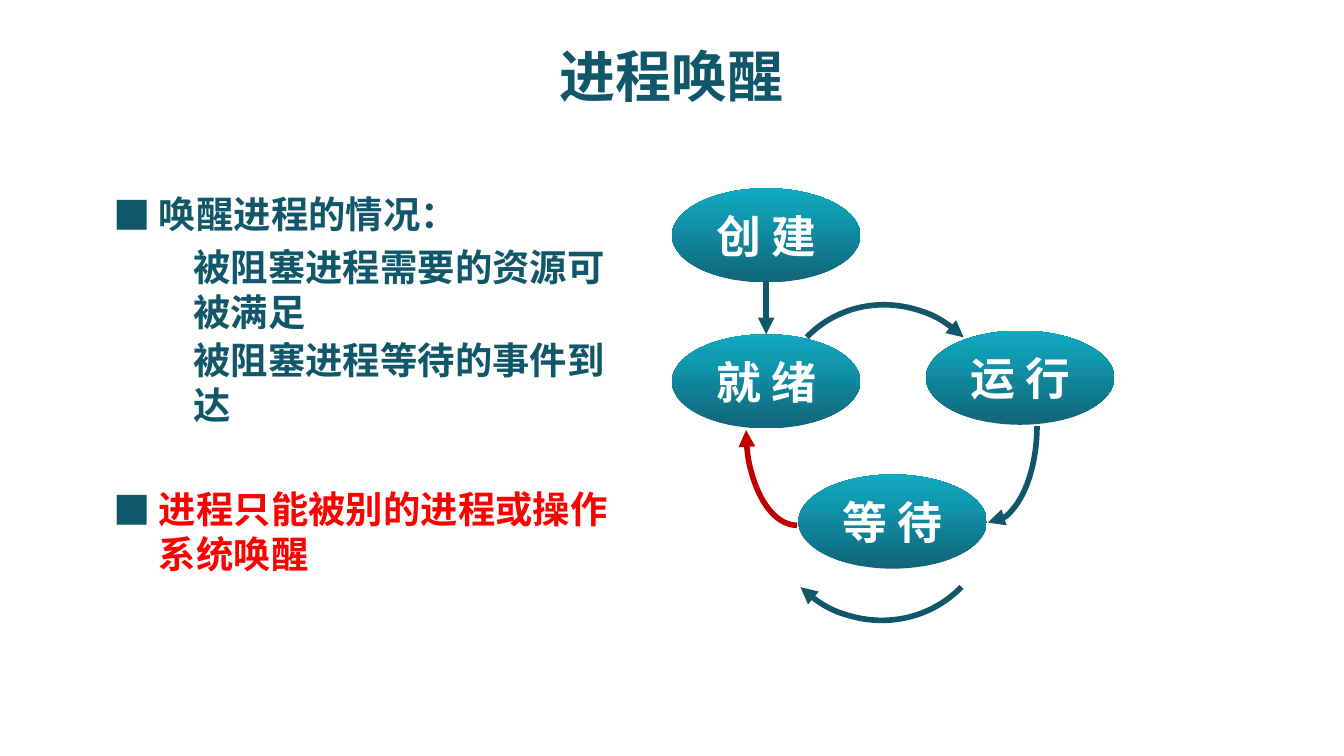
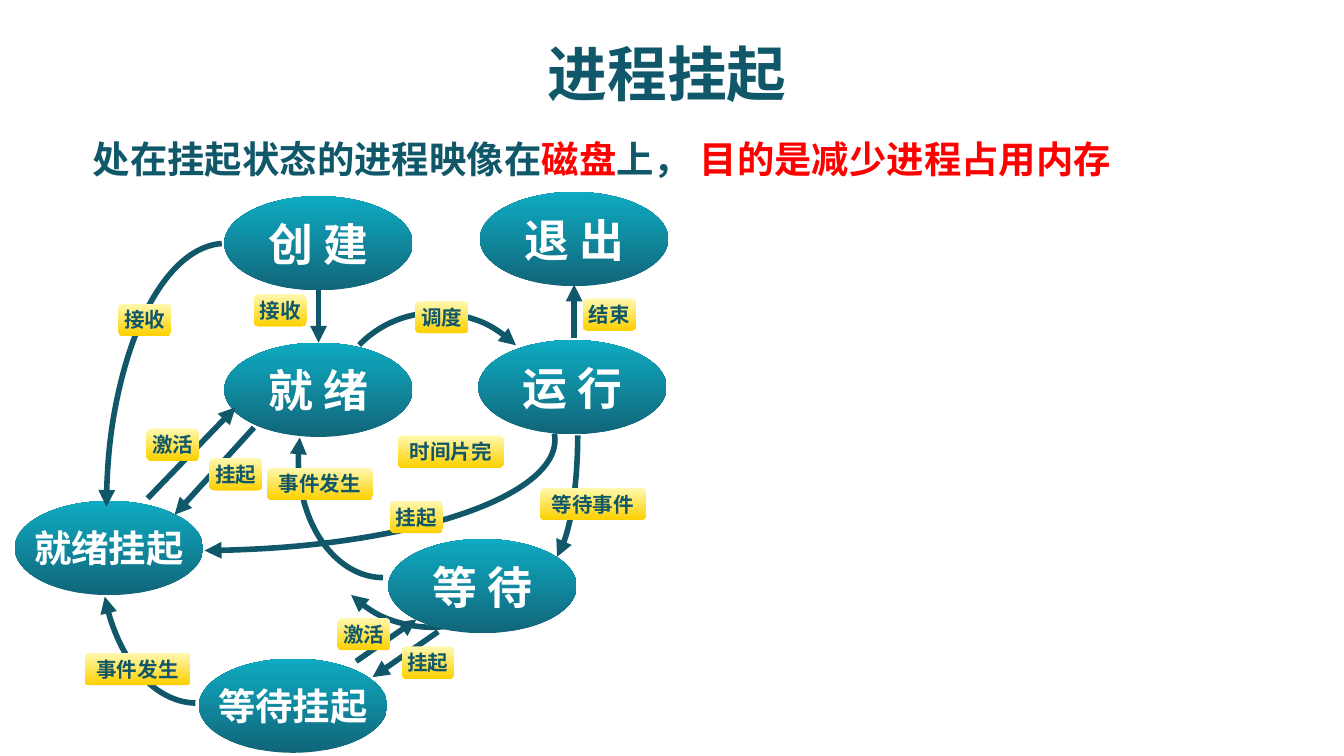
from lxml.etree import SubElement
from pptx import Presentation
from pptx.dml.color import RGBColor
from pptx.enum.shapes import MSO_CONNECTOR, MSO_SHAPE
from pptx.enum.text import MSO_ANCHOR, MSO_AUTO_SIZE, PP_ALIGN
from pptx.oxml.ns import qn
from pptx.util import Cm, Pt

FONT = "Noto Sans CJK SC"
HUES = {"ink": "11576A", "red": "FF0000", "dark": "C00000", "white": "FFFFFF"}
TEAL = [(0, "116579"), (77, "0F9BB1"), (100, "0EABC2")]
GOLD = [(0, "FFF9B1"), (100, "FDD000")]
OVAL = (3.56, 1.78)
TAG = 0.61
UP, DOWN = 90, 270

SLIDES = [
    {
        "title": ("进程唤醒", 30, (1.9, 0.25, 21.59, 2.34)),
        "box": (1.9, 3.48, 10.42, 7.6),
        "body": [
            ([("唤醒进程的情况：", "ink")], {"left": 0.85, "mark": "■"}),
            ([("被阻塞进程需要的资源可被满足", "ink")], {"left": 1.5, "gap": 4.7}),
            ([("被阻塞进程等待的事件到达", "ink")], {"left": 1.5, "gap": 1.5}),
            ([("进程只能被别的进程或操作系统唤醒", "red")],
             {"left": 0.85, "gap": 32, "mark": "■"}),
        ],
        "under": [],
        "ovals": [
            ("创 建", 12.7, 3.56),
            ("就 绪", 12.7, 6.32),
            ("运 行", 17.5, 6.25),
            ("等 待", 15.09, 8.97),
        ],
        "over": [
            ((14.73, 5.72, 4.11, 4.27), {"turn": 314}),
            ((17.75, 6.2, 1.85, 3.68), {"span": (0.9, 90)}),
            ((14.1, 6.3, 1.93, 3.63),
             {"span": (0.9, 90), "flip": True, "end": "headEnd", "hue": "dark"}),
            ((14.48, 7.39, 4.24, 4.37), {"turn": 134}),
        ],
        "lines": [(14.48, 5.31, 14.48, 6.32)],
        "tags": [],
    },
    {
        "title": ("进程挂起", 32, (9.75, 0.2, 5.72, 2.34)),
        "box": (1.5, 2.44, 20.27, 1.12),
        "body": [
            ([("处在挂起状态的进程映像在", "ink"), ("磁盘", "red"),
              ("上， ", "ink"), ("目的是减少进程占用内存", "red")], {}),
        ],
        "under": [
            ((9.65, 5.74, 1.27, 4.98), {"span": (0.13, 83.9)}),
            ((5.97, 7.52, 4.24, 4.37), {"turn": 134, "span": (267.6, 359.3)}),
        ],
        "ovals": [
            ("创 建", 4.24, 3.71),
            ("就 绪", 4.24, 6.48),
            ("运 行", 9.04, 6.43),
            ("等 待", 7.34, 10.19),
            ("退 出", 9.07, 3.63),
            ("就绪挂起", 0.28, 9.47),
            ("等待挂起", 3.76, 12.45),
        ],
        "over": [
            ((6.27, 5.87, 4.11, 4.27), {"turn": 314}),
            ((-3.2, 6.22, 13.69, 4.19), {"span": (359, 83.9)}),
            ((5.64, 6.45, 3.2, 4.47),
             {"span": (345.2, 90), "flip": True, "end": "headEnd"}),
            ((1.9, 7.57, 3.63, 5.72),
             {"span": (26.1, 89.6), "flip": True, "end": "headEnd"}),
            ((2.01, 4.6, 4.5, 10.03),
             {"span": (0.9, 89.2), "turn": 180, "end": "headEnd"}),
        ],
        "lines": [
            (6.02, 5.49, 6.02, 6.48),
            (10.85, 6.38, 10.85, 5.38),
            (8.28, 11.94, 7.04, 12.8),
            (6.73, 12.5, 7.87, 11.71),
            (2.79, 9.42, 4.45, 7.7),
            (4.8, 8.08, 3.3, 9.73),
        ],
        "tags": [
            ("挂起", 7.37, 9.47),
            ("接收", 2.24, 5.74),
            ("事件发生", 1.6, 12.34),
            ("接收", 4.8, 5.56),
            ("激活", 2.77, 8.1),
            ("挂起", 3.96, 8.66),
            ("事件发生", 5.05, 8.84),
            ("激活", 6.38, 11.68),
            ("挂起", 7.59, 12.22),
            ("等待事件", 10.21, 9.22),
            ("时间片完", 7.52, 8.23),
            ("调度", 7.85, 5.69),
            ("结束", 11.02, 5.64),
        ],
    },
]


def color(name):
    return RGBColor.from_string(HUES[name])


def write(para, text, size=20, hue="ink", align=PP_ALIGN.CENTER):
    para.alignment = align
    run = para.add_run()
    run.text = text
    font = run.font
    font.size, font.bold, font.name = Pt(size), True, FONT
    font.color.rgb = color(hue)
    SubElement(font._element, qn("a:ea"), typeface=FONT)


def place(shape, box):
    shape.left, shape.top, shape.width, shape.height = map(Cm, box)


def indent(para, left=0, gap=0, mark=None):
    para.space_before, para.space_after = Pt(gap), Pt(0)
    para.line_spacing = Pt(24)
    props = para._p.get_or_add_pPr()
    props.set("marL", str(Cm(left)))
    props.set("indent", str(-Cm(left) if mark else 0))
    if mark:
        tint = SubElement(props, qn("a:buClr"))
        SubElement(tint, qn("a:srgbClr"), val=HUES["ink"])
        SubElement(props, qn("a:buFont"), typeface="Noto Sans CJK JP")
        SubElement(props, qn("a:buChar"), char=mark)
    else:
        SubElement(props, qn("a:buNone"))


def fade(shape, stops, angle):
    shape.fill.gradient()
    shape.fill.gradient_angle = angle
    items = shape._element.spPr.find(qn("a:gradFill")).find(qn("a:gsLst"))
    items.clear()
    for at, tint in stops:
        stop = SubElement(items, qn("a:gs"), pos=str(at * 1000))
        SubElement(stop, qn("a:srgbClr"), val=tint)


def stroke(shape, hue="ink", end="tailEnd"):
    shape.line.color.rgb = color(hue)
    shape.line.width = Pt(3)
    SubElement(shape.line._get_or_add_ln(), qn(f"a:{end}"), type="triangle")


def node(slide, kind, text, box, stops, angle, **style):
    shape = slide.shapes.add_shape(kind, *map(Cm, box))
    shape.shadow.inherit = False
    shape.line.fill.background()
    fade(shape, stops, angle)
    frame = shape.text_frame
    frame.word_wrap = False
    frame.vertical_anchor = MSO_ANCHOR.MIDDLE
    frame.margin_left = frame.margin_right = 0
    frame.margin_top = frame.margin_bottom = 0
    write(frame.paragraphs[0], text, **style)


def arc(slide, box, span=(270, 0), turn=0, flip=False, hue="ink", end="tailEnd"):
    shape = slide.shapes.add_shape(MSO_SHAPE.ARC, *map(Cm, box))
    shape.shadow.inherit = False
    shape.fill.background()
    shape.rotation = turn
    for i, angle in enumerate(span):
        shape.adjustments[i] = angle * 0.6
    if flip:
        shape._element.spPr.xfrm.set("flipH", "1")
    stroke(shape, hue, end)


def arrow(slide, ends):
    line = slide.shapes.add_connector(MSO_CONNECTOR.STRAIGHT, *map(Cm, ends))
    stroke(line)
    SubElement(line._element.spPr, qn("a:effectLst"))


def build(deck, data):
    slide = deck.slides.add_slide(deck.slide_layouts[1])
    title, body = slide.placeholders
    text, size, box = data["title"]
    place(title, box)
    write(title.text_frame.paragraphs[0], text, size=size)

    place(body, data["box"])
    frame = body.text_frame
    frame.auto_size = MSO_AUTO_SIZE.NONE
    for i, (runs, form) in enumerate(data["body"]):
        para = frame.add_paragraph() if i else frame.paragraphs[0]
        indent(para, **form)
        for text, hue in runs:
            write(para, text, hue=hue, align=PP_ALIGN.LEFT)

    for box, form in data["under"]:
        arc(slide, box, **form)
    for text, x, y in data["ovals"]:
        size = 24 if " " in text else 20
        node(slide, MSO_SHAPE.OVAL, text, (x, y, *OVAL), TEAL, UP,
             size=size, hue="white")
    for box, form in data["over"]:
        arc(slide, box, **form)
    for ends in data["lines"]:
        arrow(slide, ends)
    for text, x, y in data["tags"]:
        node(slide, MSO_SHAPE.ROUNDED_RECTANGLE, text,
             (x, y, len(text) / 2, TAG), GOLD, DOWN, size=11)


def main():
    deck = Presentation()
    deck.slide_width, deck.slide_height = Cm(25.4), Cm(14.29)
    for data in SLIDES:
        build(deck, data)
    deck.save("out.pptx")


if __name__ == "__main__":
    main()
